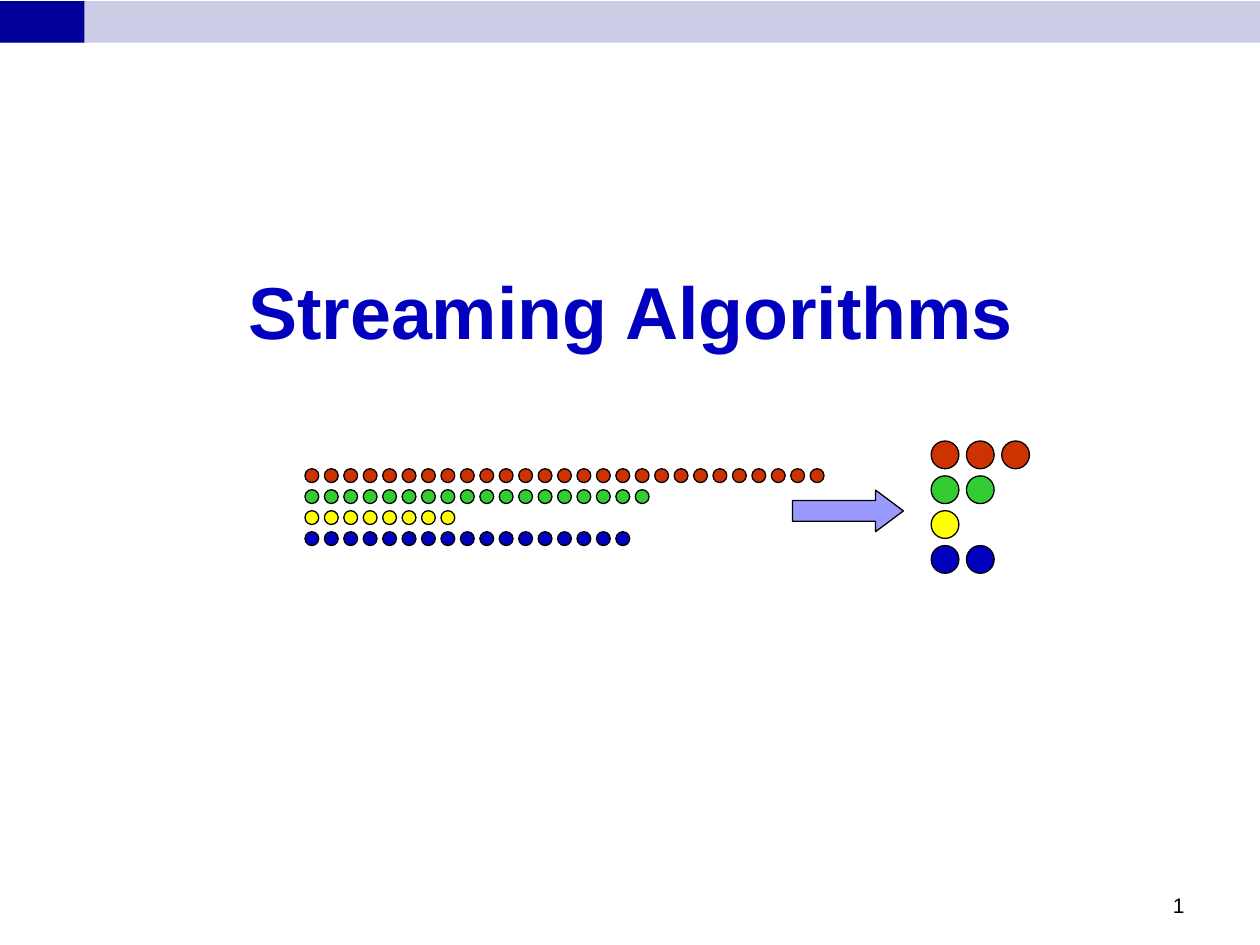
from dataclasses import dataclass

from pptx import Presentation
from pptx import util as u
from pptx.dml.color import RGBColor
from pptx.enum import shapes, text


@dataclass
class Theme:
    font: str = "Arial"
    title: int = 42
    small: int = 12
    blue: str = "0000BE"
    navy: str = "000099"
    pale: str = "CCCCE6"
    arrow: str = "9999FF"
    red: str = "CC3300"
    green: str = "33CC33"
    yellow: str = "FFFF00"
    black: str = "000000"


theme = Theme()
KIND = shapes.MSO_SHAPE


def draw(home, kind, box, fill, edge=None):
    """Add a flat preset shape to a slide or group; box is in inches."""
    item = home.shapes.add_shape(kind, *[u.Inches(n) for n in box])
    item.shadow.inherit = False
    item.fill.solid()
    item.fill.fore_color.rgb = RGBColor.from_string(fill)
    if edge:
        item.line.color.rgb = RGBColor.from_string(edge)
        item.line.width = u.Pt(0.75)
    else:
        item.line.fill.background()
    return item


def write(item, words, size, color, align, anchor, bold=False):
    frame = item.text_frame
    frame.text = words
    frame.word_wrap = True
    frame.vertical_anchor = anchor
    line = frame.paragraphs[0]
    line.alignment = align
    font = line.runs[0].font
    font.name = theme.font
    font.size = u.Pt(size)
    font.bold = bold
    font.color.rgb = RGBColor.from_string(color)


deck = Presentation()
deck.slide_width = u.Inches(10)
deck.slide_height = u.Inches(7.5)
slide = deck.slides.add_slide(deck.slide_layouts[5])

# Header band
for width, fill in ((10, theme.pale), (0.67, theme.navy)):
    draw(slide, KIND.RECTANGLE, (0, 0.01, width, 0.33), fill)

# Title
title = slide.shapes.title
title.left, title.top = u.Inches(1.17), u.Inches(1.25)
title.width, title.height = u.Inches(7.67), u.Inches(2.42)
write(title, "Streaming Algorithms", theme.title, theme.blue,
      text.PP_ALIGN.CENTER, text.MSO_ANCHOR.MIDDLE, True)

# Long stream of dots and its short summary
colors = (theme.red, theme.green, theme.yellow, theme.blue)
stream = (2.42, 3.72, 0.11, 4.01 / 26, 0.5 / 3, (27, 18, 8, 17))
sketch = (7.39, 3.5, 0.22, 0.28, 0.83 / 3, (3, 2, 1, 2))
group = slide.shapes.add_group_shape()
for left, top, size, step, drop, counts in (stream, sketch):
    for row, (color, count) in enumerate(zip(colors, counts)):
        for col in range(count):
            box = (left + col * step, top + row * drop, size, size)
            draw(group, KIND.OVAL, box, color, theme.black)

arrow = draw(group, KIND.RIGHT_ARROW, (6.29, 3.89, 0.88, 0.33),
             theme.arrow, theme.black)
arrow.adjustments[0] = 0.5
arrow.adjustments[1] = 0.67

# Page number
page = slide.shapes.add_textbox(u.Inches(7.17), u.Inches(6.83),
                                u.Inches(2.33), u.Inches(0.5))
write(page, "1", theme.small, theme.black,
      text.PP_ALIGN.RIGHT, text.MSO_ANCHOR.BOTTOM)

deck.save("out.pptx")
